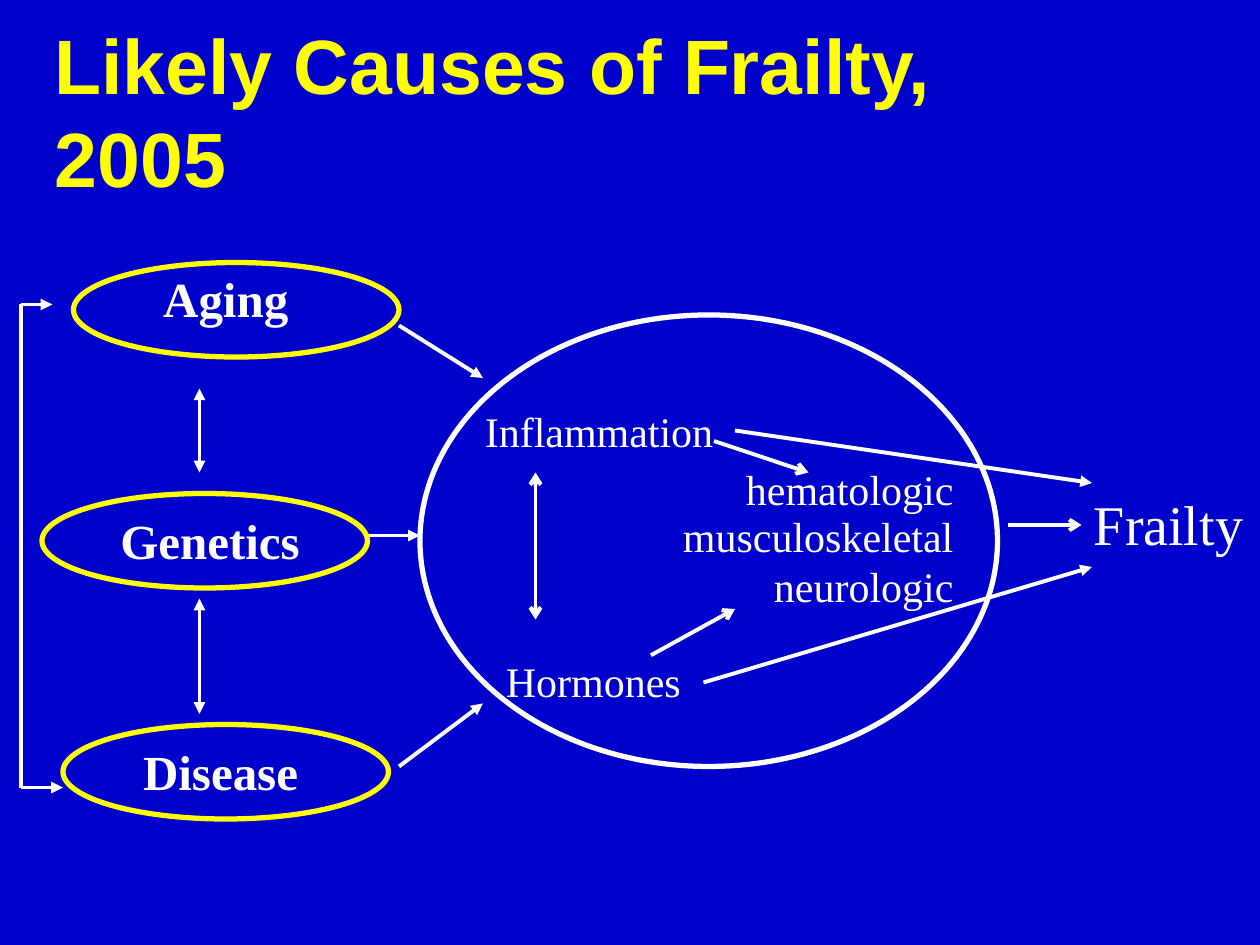
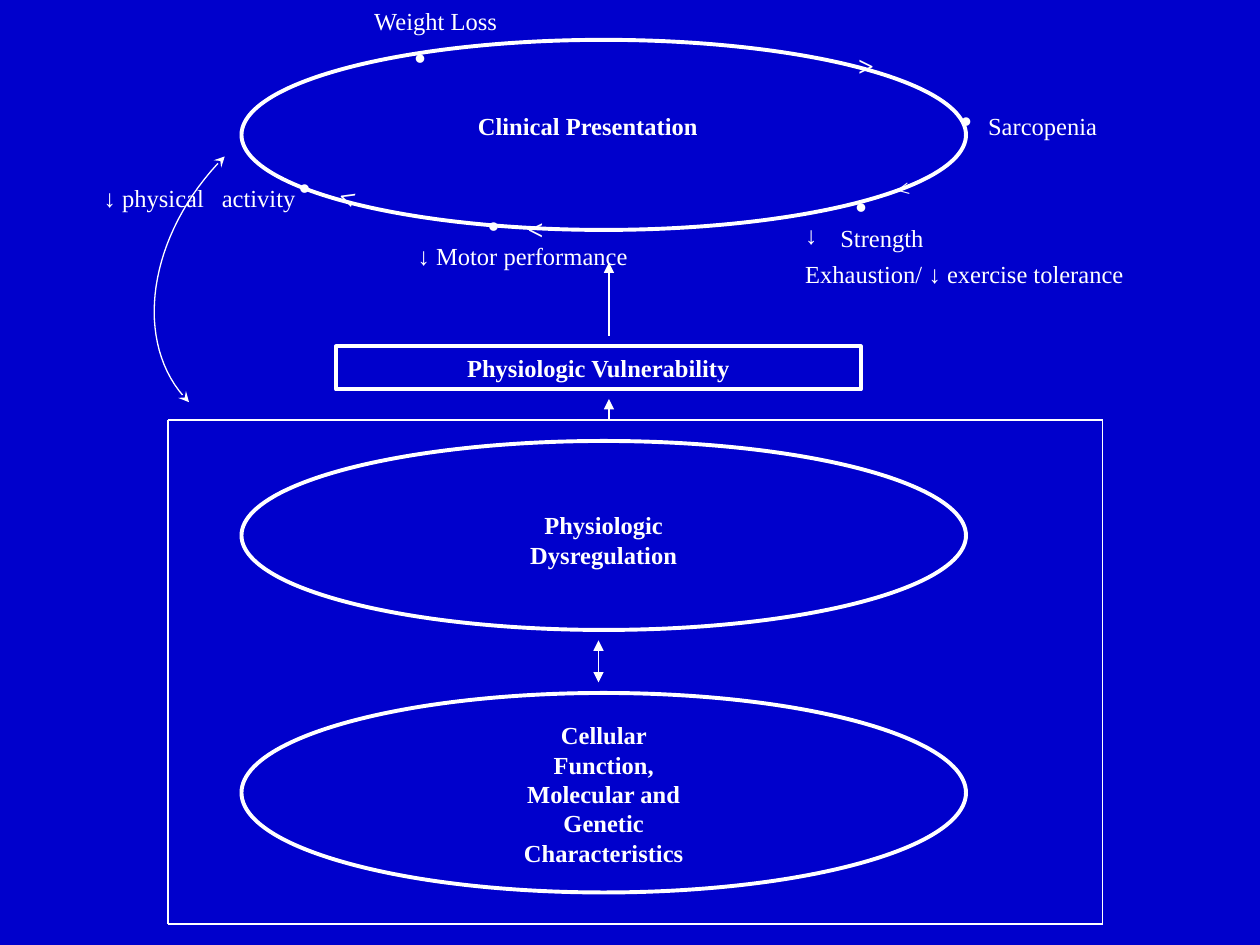
"""Build two slides on the causes and layers of frailty."""
from lxml.etree import SubElement
from pptx import Presentation
from pptx.dml.color import RGBColor
from pptx.enum.shapes import MSO_CONNECTOR, MSO_SHAPE
from pptx.enum.text import MSO_ANCHOR, MSO_AUTO_SIZE, PP_ALIGN
from pptx.oxml.ns import qn
from pptx.util import Inches, Pt

CELL = Inches(1) // 12
COLS, ROWS = 120, 90
BLUE, WHITE, GOLD = "0000CC", "FFFFFF", "FFFF00"
SERIF, SANS = "Times New Roman", "Arial"
LEFT, MID, RIGHT = PP_ALIGN.LEFT, PP_ALIGN.CENTER, PP_ALIGN.RIGHT

TITLE = "Likely Causes of Frailty, 2005"
CAUSES = [
    ("Aging", (6, 25, 31, 8), (7, 25, 31, 9)),
    ("Genetics", (7, 48, 26, 7), (4, 47, 31, 9)),
    ("Disease", (7, 70, 28, 7.5), (6, 69, 31, 9)),
]
HUB = (40, 30, 55, 43)
PATHS = [
    {"text": "Inflammation", "align": LEFT},
    {"text": "hematologic", "align": RIGHT, "before": 4.5},
    {"text": "musculoskeletal", "align": RIGHT, "space": 0.97},
    {"text": "neurologic", "align": RIGHT, "space": 0.98},
    {"text": "Hormones", "align": LEFT, "before": 24.5, "left": 2},
]
CAUSE_LINKS = [
    ((51, 45), (51, 59), "arrow", "arrow"),
    ((62, 62.4), (70, 58), None, "arrow"),
    ((68, 42), (77, 45), None, "arrow"),
    ((96, 50), (103, 50), None, "arrow"),
    ((38, 73), (46, 67), None, "triangle"),
    ((38, 31), (46, 36), None, "triangle"),
    ((19, 37), (19, 45), "triangle", "triangle"),
    ((19, 57), (19, 68), "triangle", "triangle"),
    ((35, 51), (40, 51), None, "triangle"),
    ((2, 29), (5, 29), None, "triangle"),
    ((2, 29), (2, 75), None, None),
    ((2, 75), (6, 75), None, "triangle"),
    ((70, 41), (104, 46), None, "triangle"),
    ((67, 65), (104, 54), None, "triangle"),
]

RINGS = [(23, 3.8, 69, 18.1), (23, 42, 69, 18), (23, 66, 69, 19)]
CORES = [
    ("Clinical Presentation", (44, 10, 24, 4)),
    ("Physiologic Dysregulation", (47.9, 48, 19.2, 7)),
    ("Cellular Function, Molecular and Genetic Characteristics", (47.9, 68, 19.2, 15)),
]
SIGNS = [
    ((27, 0, 29, 4), [{"text": "Weight Loss"}]),
    ((90, 10, 18.6, 4), [{"text": "Sarcopenia"}]),
    ((75.5, 21.4, 33, 6.6), [
        {"text": "Strength", "align": LEFT, "space": 0.7, "bullet": "↓", "left": 3.35},
        {"text": "Exhaustion/ ↓ exercise tolerance", "align": LEFT, "space": 0.7, "before": 8.8},
    ]),
    ((38.6, 23, 24, 3.4), [{"text": "↓ Motor performance", "align": LEFT, "space": 0.75}]),
    ((8.7, 16.8, 24, 4), [{"text": "↓ physical\tactivity", "align": LEFT, "tab": 11.25}]),
]
DOTS = [(88, 9), (78, 17.2), (43, 19), (25, 15.4), (36, 3)]
MARKS = [
    (80, 4, 4.4, 16, True, 0),
    (83.5, 16.1, 4.1, 14, False, 169.1),
    (48.5, 19.9, 4.4, 16, True, 180.8),
    (30.5, 16.9, 4.4, 16, True, 198.7),
]
LAYER_LINKS = [
    ((58, 32), (58, 25), None, "triangle"),
    ((57, 61), (57, 65), "triangle", "triangle"),
    ((58, 38), (58, 40), "triangle", None),
]
FRAME = [(16, 40), (105, 40), (105, 88), (16, 88)]
CURVE = [(21.4, 14.9), (14, 22.3), (12.5, 32.8), (18, 38.3)]
STEPS = 32


def tint(code):
    return RGBColor.from_string(code)


def grid(nums):
    return [round(n * CELL) for n in nums]


def style(font, size, bold=False, color=WHITE, face=SERIF):
    font.name, font.size, font.bold = face, Pt(size), bold
    font.color.rgb = tint(color)


def write(frame, items, size, bold=False):
    frame.word_wrap = True
    for num, item in enumerate(items):
        para = frame.add_paragraph() if num else frame.paragraphs[0]
        para.alignment = item.get("align", MID)
        para.line_spacing = item.get("space", 1.0)
        para.space_before = Pt(item.get("before", 0))
        prop = para._p.get_or_add_pPr()
        left = round(item.get("left", 0) * CELL)
        prop.set("marL", str(left))
        if "bullet" in item:
            prop.set("indent", str(-left))
            SubElement(prop, qn("a:buFont"), typeface=SERIF)
            SubElement(prop, qn("a:buChar"), char=item["bullet"])
        if "tab" in item:
            tabs = SubElement(prop, qn("a:tabLst"))
            SubElement(tabs, qn("a:tab"), pos=str(round(item["tab"] * CELL)), algn="l")
        for part in filter(None, item["text"].partition("↓")):
            run = para.add_run()
            run.text = part
            style(run.font, size, bold, face=SANS if part == "↓" else SERIF)


def label(slide, box, items, size, bold=False):
    text = slide.shapes.add_textbox(*grid(box))
    write(text.text_frame, items, size, bold)
    return text


def stroke(shape, width, color=WHITE, head=None, tail=None):
    shape.line.color.rgb = tint(color)
    shape.line.width = Pt(width)
    ln = shape.line._get_or_add_ln()
    for tag, kind in (("a:headEnd", head), ("a:tailEnd", tail)):
        if kind:
            SubElement(ln, qn(tag), type=kind)


def outline(slide, kind, box, width, color=WHITE):
    shape = slide.shapes.add_shape(kind, *grid(box))
    shape.shadow.inherit = False
    shape.fill.background()
    stroke(shape, width, color)
    return shape


def link(slide, links, width):
    for start, end, head, tail in links:
        line = slide.shapes.add_connector(MSO_CONNECTOR.STRAIGHT, *grid(start + end))
        stroke(line, width, head=head, tail=tail)
        SubElement(line._element.spPr, qn("a:effectLst"))


def bend(slide, knots):
    dots = []
    for step in range(STEPS + 1):
        t = step / STEPS
        parts = ((1 - t) ** 3, 3 * t * (1 - t) ** 2, 3 * t * t * (1 - t), t ** 3)
        dots.append(grid(sum(p * k[axis] for p, k in zip(parts, knots)) for axis in (0, 1)))
    pen = slide.shapes.build_freeform(*dots[0])
    pen.add_line_segments(dots[1:], close=False)
    curve = pen.convert_to_shape()
    curve.shadow.inherit = False
    curve.fill.background()
    stroke(curve, 0.75, head="stealth", tail="stealth")


def causes(deck):
    slide = deck.slides.add_slide(deck.slide_layouts[5])
    title = slide.shapes.title
    title.left, title.top, title.width, title.height = grid((4, 3, 102, 15))
    frame = title.text_frame
    frame.auto_size, frame.vertical_anchor = MSO_AUTO_SIZE.NONE, MSO_ANCHOR.MIDDLE
    para = frame.paragraphs[0]
    para.alignment = LEFT
    run = para.add_run()
    run.text = TITLE
    style(run.font, 44, True, GOLD, SANS)
    outline(slide, MSO_SHAPE.OVAL, HUB, 3)
    label(slide, (45, 38, 47, 29), PATHS, 24)
    label(slide, (103, 46, 17, 8), [{"text": "Frailty", "align": LEFT}], 32)
    link(slide, CAUSE_LINKS, 2.25)
    for name, box, ring in CAUSES:
        label(slide, box, [{"text": name}], 28, True)
        outline(slide, MSO_SHAPE.OVAL, ring, 3, GOLD)


def layers(deck):
    slide = deck.slides.add_slide(deck.slide_layouts[6])
    for ring in RINGS:
        outline(slide, MSO_SHAPE.OVAL, ring, 2.25)
    for box, items in SIGNS:
        label(slide, box, items, 14)
    for name, box in CORES:
        label(slide, box, [{"text": name}], 14, True)
    for spot in DOTS:
        label(slide, spot + (8, 4.8), [{"text": "•"}], 18, True)
    for x, y, high, size, bold, turn in MARKS:
        label(slide, (x, y, 5, high), [{"text": ">"}], size, bold).rotation = turn
    bar = outline(slide, MSO_SHAPE.RECTANGLE, (32, 33, 50, 4.1), 2.25)
    write(bar.text_frame, [{"text": "Physiologic Vulnerability"}], 14, True)
    sides = [(a, b, None, None) for a, b in zip(FRAME, FRAME[1:] + FRAME[:1])]
    link(slide, LAYER_LINKS + sides, 0.75)
    bend(slide, CURVE)


def main():
    deck = Presentation()
    deck.slide_width, deck.slide_height = COLS * CELL, ROWS * CELL
    back = deck.slide_master.background.fill
    back.solid()
    back.fore_color.rgb = tint(BLUE)
    causes(deck)
    layers(deck)
    deck.save("out.pptx")


if __name__ == "__main__":
    main()
